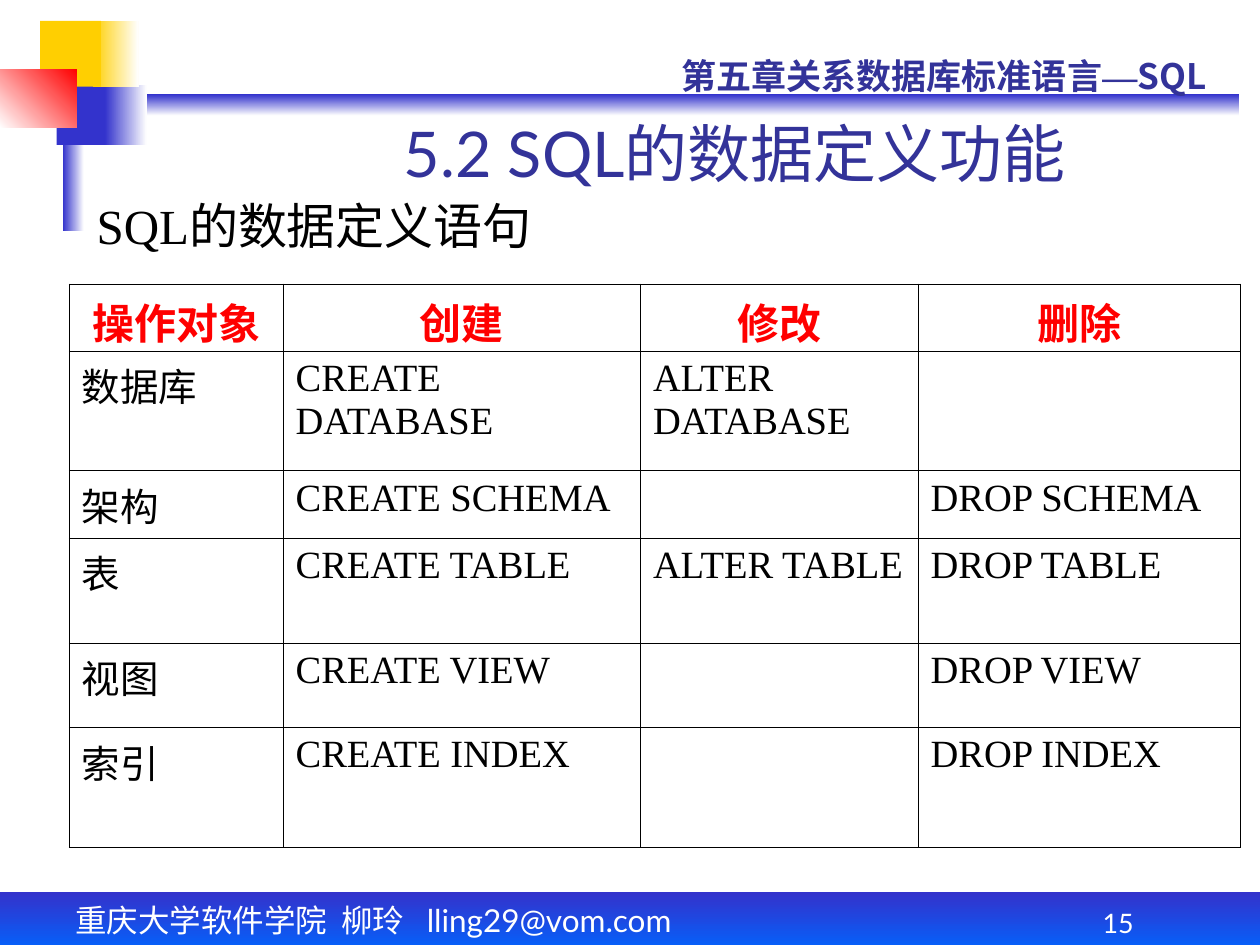
from lxml import etree
from pptx import Presentation
from pptx.dml.color import RGBColor
from pptx.enum import shapes, text
from pptx.oxml.ns import qn
from pptx.util import Pt

BLUE = RGBColor(0x33, 0x33, 0xCC)
SKY = RGBColor(0x00, 0x66, 0xFF)
NAVY = RGBColor(0x33, 0x33, 0x99)
YELLOW = RGBColor(0xFF, 0xCF, 0x01)
RED = RGBColor(0xFF, 0x00, 0x00)
WHITE = RGBColor(0xFF, 0xFF, 0xFF)
BLACK = RGBColor(0, 0, 0)

LATO, NOTO, TIMES = "Lato", "Noto Sans CJK SC", "Times New Roman"
CENTER = text.PP_ALIGN.CENTER
TOP, MIDDLE, BOTTOM = (text.MSO_ANCHOR.TOP, text.MSO_ANCHOR.MIDDLE,
                       text.MSO_ANCHOR.BOTTOM)

# left, top, width, height, colours (two make a gradient), clockwise angle
BLOCKS = [
    (42, 54, 666, 12.2, (BLUE, WHITE), 90),
    (60, 48.3, 23.8, 34.5, (BLUE, WHITE), 0),
    (0, 510, 720, 36, (BLUE, SKY), 90),
    (36, 42, 12, 90, (BLUE, WHITE), 0),
    (32.4, 48.3, 27.6, 34.5, (BLUE,), 0),
    (53.3, 12, 25.9, 37.5, (YELLOW, WHITE), 0),
    (23, 12, 34.6, 37.5, (YELLOW,), 0),
    (0, 39.6, 44, 33.4, (WHITE, RED), 315),
]

HEADER = [
    ("第五章关系数据库标准语言", {}),
    ("—", dict(font=TIMES, asian=TIMES)),
    ("SQL", {}),
    (" ", dict(font=LATO, size=24, bold=False)),
]

TABLE_AT = (39.6, 162.3)
COLUMNS = [122.2, 204.2, 158.7, 184]
ROWS = [38.2, 68.4, 38.6, 60, 48.2, 68.6]
CELLS = [
    ["操作对象", "创建", "修改", "删除"],
    ["数据库", "CREATE DATABASE", "ALTER DATABASE", ""],
    ["架构", "CREATE SCHEMA", "", "DROP SCHEMA"],
    ["表", "CREATE TABLE", "ALTER TABLE", "DROP TABLE"],
    ["视图", "CREATE VIEW", "", "DROP VIEW"],
    ["索引", "CREATE INDEX", "", "DROP INDEX"],
]


def add_run(p, words, font=LATO, asian=NOTO, size=18, color=BLACK, bold=False):
    r = p.add_run()
    r.text = words
    r.font.name, r.font.size, r.font.bold = font, Pt(size), bold
    r.font.color.rgb = color
    etree.SubElement(r.font._element, qn("a:ea"), typeface=asian)


def write(tf, content, align=None, tabs=(), **fmt):
    """Fill a text frame with a string or with (string, format changes) pairs."""
    p = tf.paragraphs[0]
    if tabs:
        stops = etree.SubElement(p._p.get_or_add_pPr(), qn("a:tabLst"))
        for pos in tabs:
            etree.SubElement(stops, qn("a:tab"), pos=str(Pt(pos)), algn="l")
    if align is not None:
        p.alignment = align
    runs = [(content, {})] if isinstance(content, str) else content
    for words, changes in runs:
        add_run(p, words, **{**fmt, **changes})


def add_text(s, box, content, anchor=TOP, insets=(7.2, 3.6), **fmt):
    tf = s.shapes.add_textbox(*map(Pt, box)).text_frame
    tf.word_wrap = True
    tf.vertical_anchor = anchor
    tf.margin_left = tf.margin_right = Pt(insets[0])
    tf.margin_top = tf.margin_bottom = Pt(insets[1])
    write(tf, content, **fmt)


def add_block(s, box, colors, angle):
    sp = s.shapes.add_shape(shapes.MSO_SHAPE.RECTANGLE, *map(Pt, box))
    sp.shadow.inherit = False
    sp.line.fill.background()
    if len(colors) == 1:
        sp.fill.solid()
        sp.fill.fore_color.rgb = colors[0]
        return
    sp.fill.gradient()
    sp.fill.gradient_angle = -angle % 360
    for stop, color in zip(sp.fill.gradient_stops, colors):
        stop.color.rgb = color


def add_borders(cell, color=BLACK, width=0.45):
    tcPr = cell._tc.get_or_add_tcPr()
    for i, side in enumerate(("lnL", "lnR", "lnT", "lnB")):
        ln = etree.Element(qn("a:" + side), w=str(Pt(width)))
        fill = etree.SubElement(ln, qn("a:solidFill"))
        etree.SubElement(fill, qn("a:srgbClr"), val=str(color))
        tcPr.insert(i, ln)


def add_statements(s):
    size = (sum(COLUMNS), sum(ROWS))
    frame = s.shapes.add_table(len(ROWS), len(COLUMNS),
                               *map(Pt, TABLE_AT + size))
    table = frame.table
    table.first_row = table.horz_banding = False
    for column, width in zip(table.columns, COLUMNS):
        column.width = Pt(width)
    for i, (row, height) in enumerate(zip(table.rows, ROWS)):
        row.height = Pt(height)
        if i == 0:
            fmt = dict(font=NOTO, size=24, color=RED, bold=True, align=CENTER)
        else:
            fmt = dict(font=TIMES, size=22)
        for cell, words in zip(row.cells, CELLS[i]):
            cell.fill.background()
            cell.margin_bottom = 0
            add_borders(cell)
            if words:
                write(cell.text_frame, words, **fmt)


def main():
    prs = Presentation()
    prs.slide_width, prs.slide_height = Pt(720), Pt(540)
    s = prs.slides.add_slide(prs.slide_layouts[6])
    for *box, colors, angle in BLOCKS:
        add_block(s, box, colors, angle)
    add_text(s, (36, 511.2, 402, 28.8),
             "重庆大学软件学院\t柳玲\tlling29@vom.com",
             tabs=(152, 200.8), color=WHITE)
    add_text(s, (382.3, 23.8, 325.4, 36), HEADER,
             font=NOTO, size=20, color=NAVY, bold=True)
    add_text(s, (582, 510, 114, 30), "15", anchor=BOTTOM, align=CENTER,
             size=15.3, color=WHITE)
    add_text(s, (139, 60.5, 570, 48.2), "5.2 SQL的数据定义功能 ",
             anchor=BOTTOM, insets=(0, 0), align=CENTER, size=36, color=NAVY)
    add_text(s, (48.2, 108, 357, 41), "SQL的数据定义语句", anchor=MIDDLE,
             font=TIMES, size=28)
    add_statements(s)
    prs.save("out.pptx")


if __name__ == "__main__":
    main()
